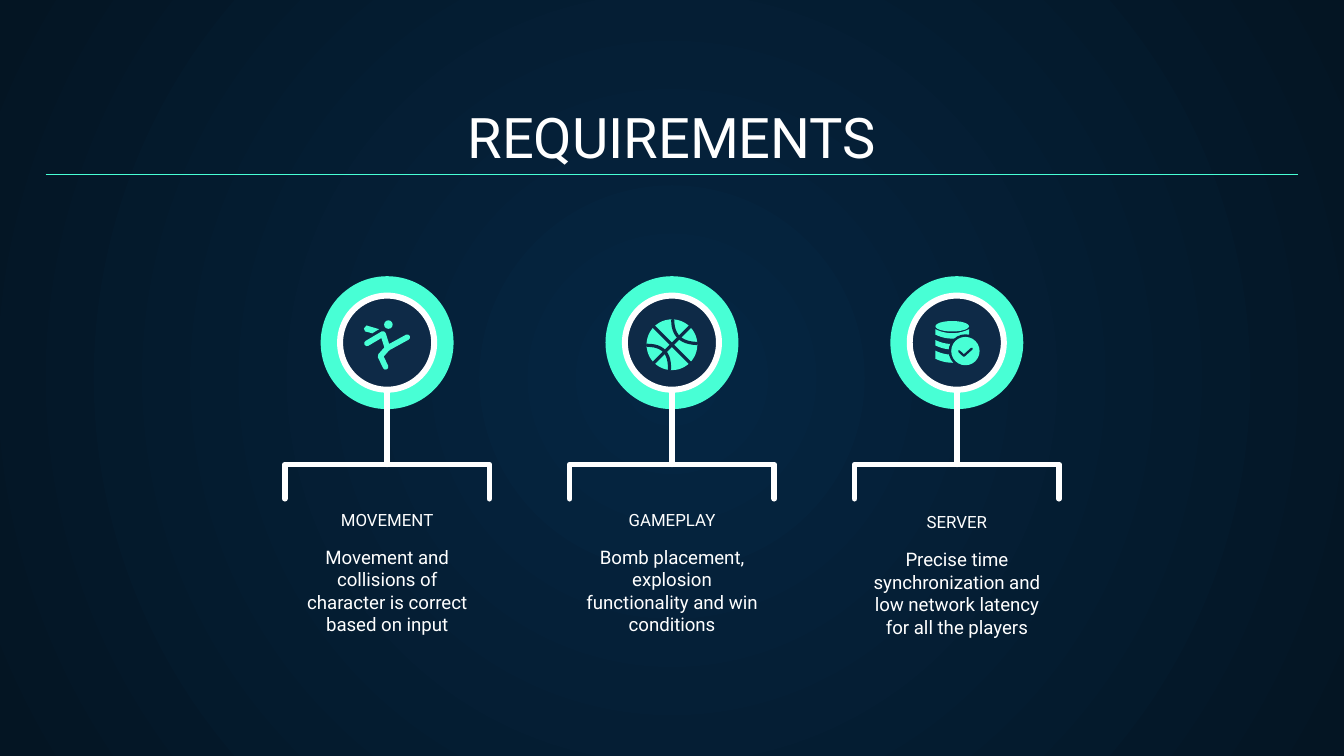
from dataclasses import dataclass
from typing import Callable

from lxml.etree import SubElement
from pptx import Presentation
from pptx.dml.color import RGBColor as Rgb
from pptx.enum.shapes import MSO_CONNECTOR as Connector, MSO_SHAPE as Shape
from pptx.enum.text import MSO_ANCHOR as Anchor, MSO_AUTO_SIZE as AutoSize, PP_ALIGN as Align
from pptx.oxml.ns import qn
from pptx.util import Pt

COLORS = {"glow": "052643", "edge": "041523", "teal": "48FFD5", "navy": "0E2A47", "white": "FFFFFF"}
FONT = "Roboto"
SLIDE_W, SLIDE_H = 720, 405
HUB_Y = 183.6
COLUMN_GAP = 152.6

Point = tuple[float, float]


@dataclass
class Requirement:
    label: str
    detail: str
    draw_icon: Callable[[float], None]
    drop: float = 0


def color(name: str) -> Rgb:
    return Rgb.from_string(COLORS[name])


def paint(shape, fill: str | None, line: str | None = None, width: float = 0) -> None:
    shape.shadow.inherit = False
    if fill:
        shape.fill.solid()
        shape.fill.fore_color.rgb = color(fill)
    else:
        shape.fill.background()
    if line:
        shape.line.color.rgb = color(line)
        shape.line.width = Pt(width)
    else:
        shape.line.fill.background()


def oval(x: float, y: float, rx: float, ry: float, fill: str,
         line: str | None = None, width: float = 0) -> None:
    disc = slide.shapes.add_shape(Shape.OVAL, Pt(x - rx), Pt(y - ry), Pt(2 * rx), Pt(2 * ry))
    paint(disc, fill, line, width)


def outline(origin_x: float, points: list[Point], closed: bool):
    corners = [(Pt(origin_x + x), Pt(HUB_Y + y)) for x, y in points]
    builder = slide.shapes.build_freeform(*corners[0])
    builder.add_line_segments(corners[1:], close=closed)
    return builder.convert_to_shape()


def stroke(origin_x: float, points: list[Point], line: str, width: float) -> None:
    bent = outline(origin_x, points, closed=False)
    paint(bent, None, line, width)
    ln = bent.line._get_or_add_ln()
    ln.set("cap", "rnd")
    SubElement(ln, qn("a:round"))


def polygon(origin_x: float, points: list[Point], fill: str) -> None:
    paint(outline(origin_x, points, closed=True), fill)


def curve(start: Point, control: Point, end: Point, steps: int = 12) -> list[Point]:
    ts = [i / steps for i in range(steps + 1)]
    return [tuple((1 - t) ** 2 * a + 2 * t * (1 - t) * b + t ** 2 * c
                  for a, b, c in zip(start, control, end)) for t in ts]


def draw_runner(x: float) -> None:
    oval(x + 0.7, HUB_Y - 9.7, 2.3, 2.3, "teal")
    stroke(x, [(-10.8, 0.4), (-2.2, -4.7), (0.2, 2.9), (10.8, -2.9)], "teal", 3)
    stroke(x, [(0.2, 2.9), (-3.6, 7.2), (-0.8, 13)], "teal", 3)
    polygon(x, [(-11, -9.2), (-4.3, -7.2), (-7.9, -5), (-11.8, -6), (-12.4, -7.6)], "teal")


def draw_ball(x: float) -> None:
    oval(x, HUB_Y + 1.1, 13.6, 13.6, "teal")
    seams = [
        [(-9.7, -8.6), (9.7, 10.8)],
        [(9.7, -8.6), (-9.7, 10.8)],
        curve((0.4, -12.2), (0.4, 0), (13.3, 0.4)),
        curve((-13.3, 1.4), (-0.7, 1.4), (-1.4, 14.4)),
    ]
    for seam in seams:
        stroke(x, seam, "navy", 1.7)


def draw_database(x: float) -> None:
    left, right, sag = -11.5, 6.5, 4.3
    middle = (left + right) / 2
    oval(x + middle, HUB_Y - 8.8, 9, 2.8, "teal")
    for top, depth in ((-7.2, 2.9), (-1.4, 2.9), (4.3, 4.3)):
        bottom = top + depth
        rim = curve((left, top), (middle, top + sag), (right, top))
        base = curve((right, bottom), (middle, bottom + sag), (left, bottom))
        polygon(x, rim + base, "teal")
    for radius, fill in ((9, "navy"), (7.6, "teal")):
        oval(x + 4.6, HUB_Y + 4.5, radius, radius, fill)
    stroke(x, [(1.2, 4.6), (3.8, 7), (8, 3.2)], "navy", 1.2)


def write(box, text: str, size: float, anchor: Anchor) -> None:
    frame = box.text_frame
    frame.text = text
    frame.word_wrap = True
    frame.auto_size = AutoSize.NONE
    frame.vertical_anchor = anchor
    frame.margin_left = frame.margin_right = frame.margin_top = frame.margin_bottom = Pt(7.2)
    paragraph = frame.paragraphs[0]
    paragraph.alignment = Align.CENTER
    font = paragraph.runs[0].font
    font.name, font.size, font.color.rgb = FONT, Pt(size), color("white")


def caption(x: float, y: float, width: float, height: float,
            text: str, size: float, anchor: Anchor) -> None:
    box = slide.shapes.add_textbox(Pt(x - width / 2), Pt(y), Pt(width), Pt(height))
    write(box, text, size, anchor)


def draw_requirement(x: float, item: Requirement) -> None:
    caption(x, 275.8 + item.drop, 163.4, 15.1, item.label, 9, Anchor.BOTTOM)
    caption(x, 285.1 + item.drop, 109.4, 39.6, item.detail, 10, Anchor.TOP)
    stroke(x, [(-54.8, 83.6), (-54.8, 65.2), (54.8, 65.2), (54.8, 83.6)], "white", 3)
    oval(x, HUB_Y, 35.6, 35.6, "teal")
    stroke(x, [(0, 0), (0, 65.2)], "white", 3)
    oval(x, HUB_Y, 25.2, 25.2, "navy", "white", 3.2)
    item.draw_icon(x)


def paint_background() -> None:
    fill = slide.background.fill
    fill.gradient()
    for stop, name in zip(fill.gradient_stops, ("glow", "edge")):
        stop.color.rgb = color(name)
    gradient = slide.element.find(".//" + qn("a:gradFill"))
    gradient.remove(gradient.find(qn("a:lin")))
    radial = SubElement(gradient, qn("a:path"), {"path": "circle"})
    SubElement(radial, qn("a:fillToRect"), {side: "50000" for side in "ltrb"})


def draw_heading() -> None:
    title = slide.shapes.title
    title.left, title.top, title.width, title.height = Pt(24.5), Pt(50.4), Pt(671), Pt(47.5)
    write(title, "REQUIREMENTS", 30, Anchor.BOTTOM)
    rule = slide.shapes.add_connector(Connector.STRAIGHT, Pt(24.5), Pt(93.6), Pt(695.5), Pt(93.6))
    rule.line.color.rgb = color("teal")
    rule.line.width = Pt(0.75)
    SubElement(rule._element.spPr, qn("a:effectLst"))


REQUIREMENTS = [
    Requirement("MOVEMENT", "Movement and collisions of character is correct based on input",
                draw_runner),
    Requirement("GAMEPLAY", "Bomb placement, explosion functionality and win conditions",
                draw_ball),
    Requirement("SERVER", "Precise time synchronization and low network latency for all the players",
                draw_database, drop=1.4),
]

deck = Presentation()
deck.slide_width, deck.slide_height = Pt(SLIDE_W), Pt(SLIDE_H)
slide = deck.slides.add_slide(deck.slide_layouts[5])
paint_background()
draw_heading()
for column, requirement in enumerate(REQUIREMENTS):
    draw_requirement(SLIDE_W / 2 + (column - 1) * COLUMN_GAP, requirement)
deck.save("out.pptx")
